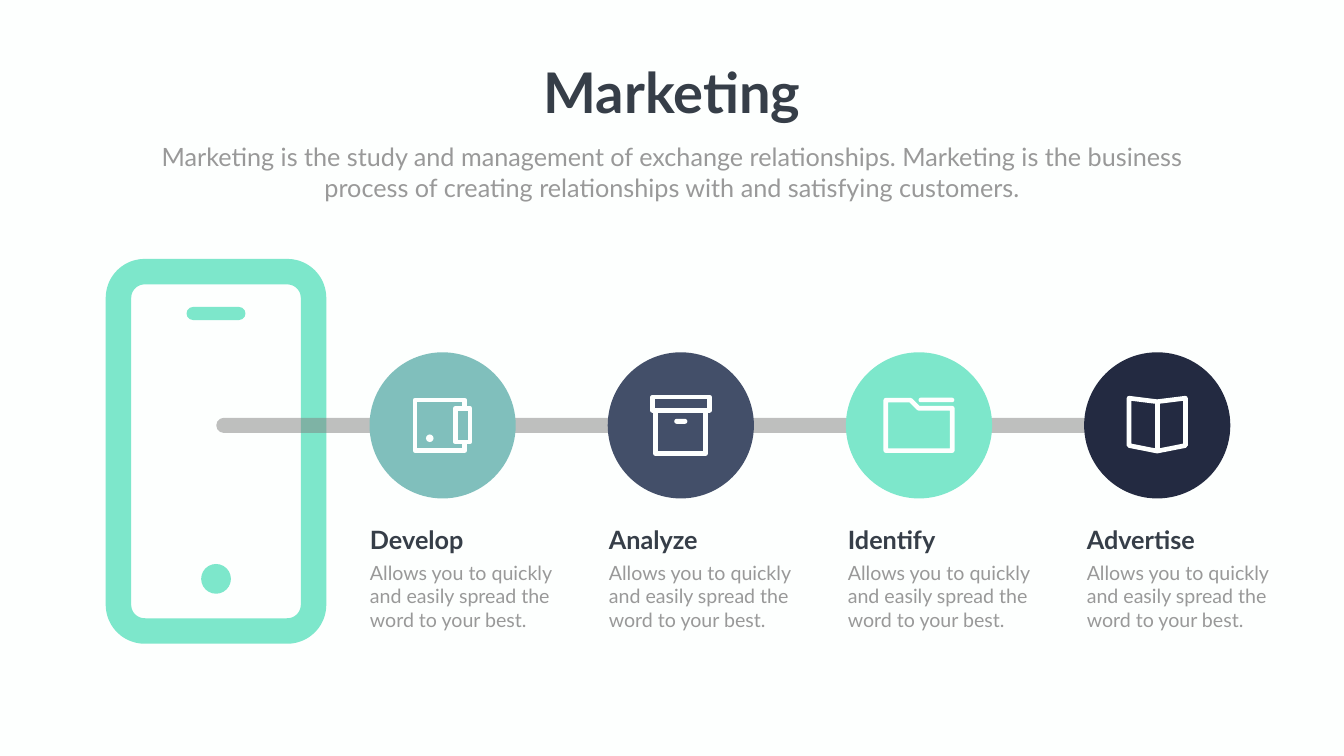
from lxml import etree
from pptx import Presentation
from pptx.dml.color import RGBColor
from pptx.enum.shapes import MSO_CONNECTOR as CONN, MSO_SHAPE as SHAPE
from pptx.enum.text import PP_ALIGN as ALIGN
from pptx.oxml.ns import qn
from pptx.util import Inches, Pt

WIDTH, HEIGHT = 26.66, 15
FIRST_X, PITCH, AXIS_Y = 8.78, 4.725, 8.44    # circle centres
TEXT_X, TEXT_PITCH = 7.24, 4.74               # caption columns
CIRCLE, BAR_LENGTH, BAR_HEIGHT = 2.9, 4.07, 0.3
STROKE = 6.6
PAPER, MINT, DARK, GREY, BAR = "FDFFFE", "7DE7CB", "363E48", "999999", "808080"

TITLE = dict(size=Pt(80), bold=True, color=DARK)
INTRO = dict(size=Pt(36), bold=False, color=GREY)
HEADING = dict(size=Pt(36), bold=True, color=DARK)
BODY = dict(size=Pt(28), bold=False, color=GREY)

INTRO_TEXT = ("Marketing is the study and management of exchange relationships. "
              "Marketing is the business process of creating relationships with "
              "and satisfying customers.")
STEP_TEXT = "Allows you to quickly and easily spread the word to your best."


def rgb(hex_color):
    return RGBColor.from_string(hex_color)


def paint(sp, fill=None, line=None, width=STROKE):
    sp.shadow.inherit = False
    if fill:
        sp.fill.solid()
        sp.fill.fore_color.rgb = rgb(fill)
    else:
        sp.fill.background()
    if line:
        stroke(sp, line, width)
    else:
        sp.line.fill.background()
    return sp


def stroke(sp, color, width=STROKE):
    """Solid line with round joins."""
    sp.line.color.rgb = rgb(color)
    sp.line.width = Pt(width)
    etree.SubElement(sp.line._get_or_add_ln(), qn("a:round"))


def shape(s, kind, x, y, w, h, radius=None, **colors):
    sp = s.shapes.add_shape(kind, *map(Inches, (x, y, w, h)))
    if radius is not None:
        sp.adjustments[0] = radius / min(w, h)
    return paint(sp, **colors)


def pill(s, x, y, w, h, **colors):
    return shape(s, SHAPE.ROUNDED_RECTANGLE, x, y, w, h, h / 2, **colors)


def outline(s, cx, points):
    """Closed stroked polygon; points are offsets from the circle centre."""
    pts = [(Inches(cx + x), Inches(AXIS_Y + y)) for x, y in points]
    fb = s.shapes.build_freeform(*pts[0], scale=1.0)
    fb.add_line_segments(pts[1:], close=True)
    paint(fb.convert_to_shape(), line=PAPER)


def frame(s, cx, x, y, w, h, fill=None):
    shape(s, SHAPE.RECTANGLE, cx + x, AXIS_Y + y, w, h, fill=fill, line=PAPER)


def text(s, x, y, w, h, words, style, align=ALIGN.LEFT, wrap=True):
    tf = s.shapes.add_textbox(*map(Inches, (x, y, w, h))).text_frame
    tf.word_wrap = wrap
    p = tf.paragraphs[0]
    p.alignment = align
    r = p.add_run()
    r.text = words
    r.font.color.rgb = rgb(style["color"])
    for name, value in dict(name="Lato", size=style["size"], bold=style["bold"]).items():
        setattr(r.font, name, value)


def phone(s):
    shape(s, SHAPE.ROUNDED_RECTANGLE, 2.35, 5.39, 3.87, 7.13, 0.52, line=MINT, width=36.4)
    shape(s, SHAPE.OVAL, 3.99, 11.19, 0.59, 0.59, fill=MINT)
    pill(s, 3.7, 6.09, 1.17, 0.26, fill=MINT)


def link(s, cx, first):
    """Half-transparent bar leading to a circle; only the first has round ends."""
    box = cx - 4.49, AXIS_Y - BAR_HEIGHT / 2, BAR_LENGTH, BAR_HEIGHT
    sp = pill(s, *box, fill=BAR) if first else shape(s, SHAPE.RECTANGLE, *box, fill=BAR)
    color = sp._element.spPr.find(qn("a:solidFill"))[0]
    etree.SubElement(color, qn("a:alpha"), val="50000")


def wallet(s, cx, back):
    frame(s, cx, -0.55, -0.5, 0.99, 1)
    frame(s, cx, 0.25, -0.34, 0.29, 0.67, fill=back)
    shape(s, SHAPE.OVAL, cx - 0.33, AXIS_Y + 0.18, 0.15, 0.15, fill=PAPER)


def archive_box(s, cx, back):
    frame(s, cx, -0.56, -0.56, 1.13, 0.26)
    frame(s, cx, -0.5, -0.3, 0.99, 0.86)
    pill(s, cx - 0.13, AXIS_Y - 0.13, 0.26, 0.1, fill=PAPER)


def folder(s, cx, back):
    outline(s, cx, [(-0.66, -0.5), (-0.17, -0.5), (-0.01, -0.34),
                    (0.66, -0.34), (0.66, 0.5), (-0.66, 0.5)])
    pill(s, cx - 0.01, AXIS_Y - 0.55, 0.71, 0.09, fill=PAPER)


def book(s, cx, back):
    outline(s, cx, [(-0.56, -0.54), (0, -0.47), (0.56, -0.54),
                    (0.56, 0.4), (0, 0.51), (-0.56, 0.4)])
    spine = s.shapes.add_connector(CONN.STRAIGHT, Inches(cx), Inches(AXIS_Y - 0.47),
                                   Inches(cx), Inches(AXIS_Y + 0.51))
    stroke(spine, PAPER)
    etree.SubElement(spine._element.spPr, qn("a:effectLst"))


STEPS = [("Develop", "80BFBC", wallet), ("Analyze", "434F69", archive_box),
         ("Identify", MINT, folder), ("Advertise", "232A41", book)]


def main():
    prs = Presentation()
    prs.slide_width, prs.slide_height = Inches(WIDTH), Inches(HEIGHT)
    s = prs.slides.add_slide(prs.slide_layouts[6])
    s.background.fill.solid()
    s.background.fill.fore_color.rgb = rgb(PAPER)

    phone(s)
    centres = [FIRST_X + i * PITCH for i in range(len(STEPS))]
    for i, cx in enumerate(centres):
        link(s, cx, first=i == 0)
    for cx, (_, color, icon) in zip(centres, STEPS):
        shape(s, SHAPE.OVAL, cx - CIRCLE / 2, AXIS_Y - CIRCLE / 2, CIRCLE, CIRCLE, fill=color)
        icon(s, cx, color)

    text(s, 10.62, 1.1, 5.43, 1.45, "Marketing", TITLE, ALIGN.CENTER, wrap=False)
    text(s, 2.68, 2.76, 21.3, 1.31, INTRO_TEXT, INTRO, ALIGN.CENTER)
    for i, (heading, _, _) in enumerate(STEPS):
        x = TEXT_X + i * TEXT_PITCH
        text(s, x, 10.36, 2.61, 0.71, heading, HEADING)
        text(s, x, 11.07, 4.37, 1.51, STEP_TEXT, BODY)
    prs.save("out.pptx")


if __name__ == "__main__":
    main()
